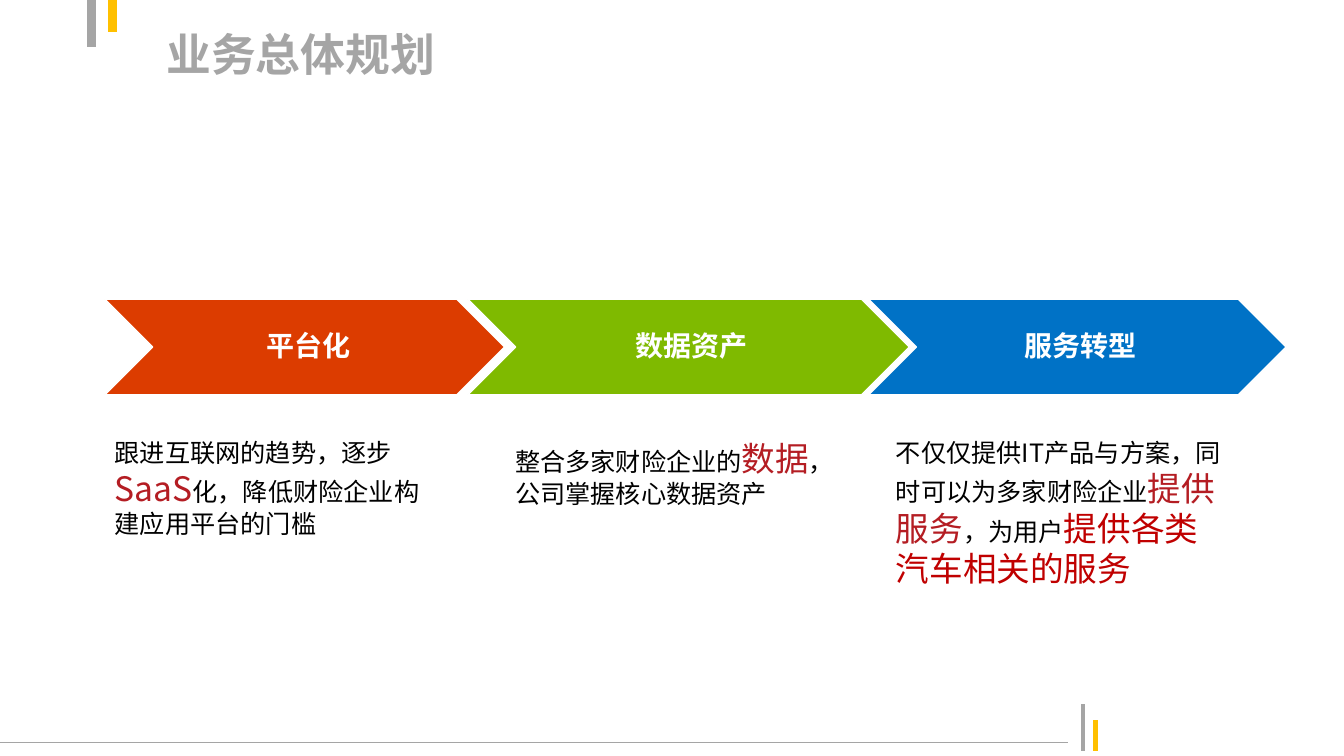
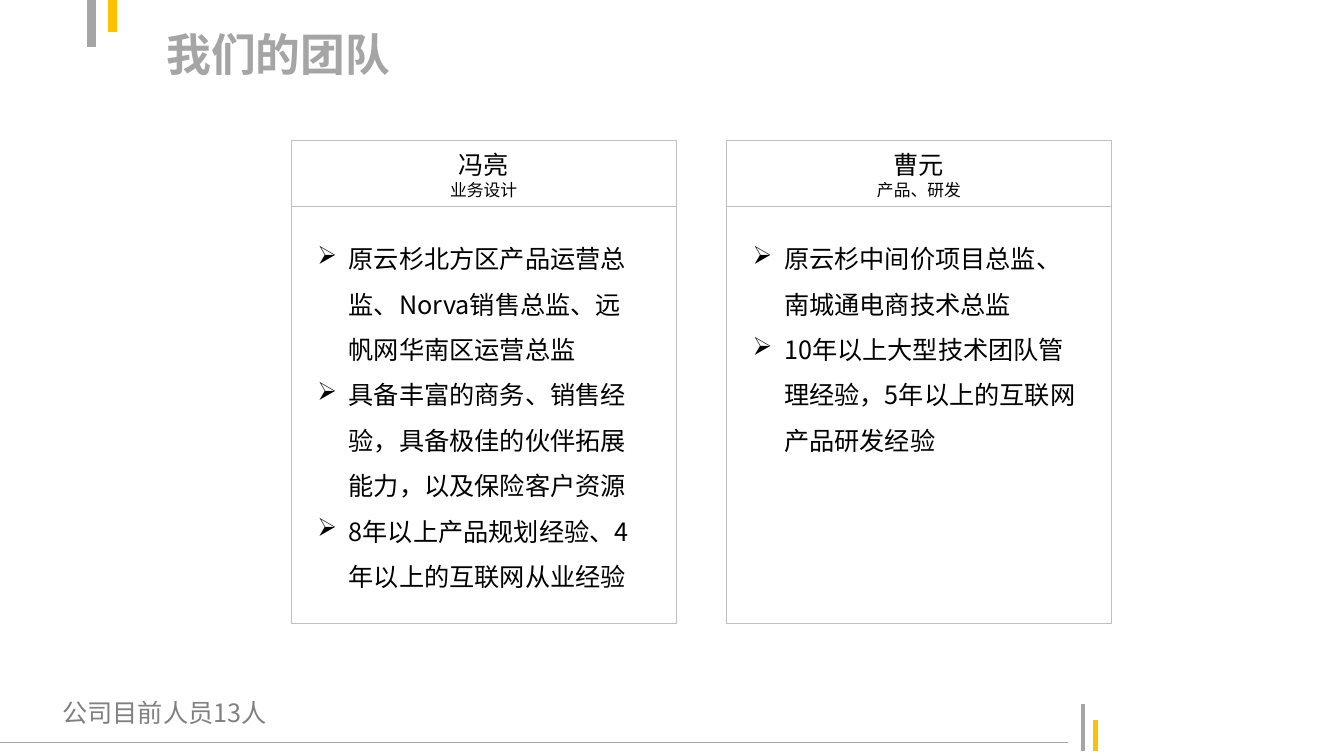
import pptx
import pptx.dml.color
import pptx.enum.shapes
import pptx.enum.text
import pptx.oxml
import pptx.oxml.ns
import pptx.util

Cm = pptx.util.Cm
Pt = pptx.util.Pt
RGBColor = pptx.dml.color.RGBColor
MSO_SHAPE = pptx.enum.shapes.MSO_SHAPE
MIDDLE = pptx.enum.text.MSO_ANCHOR.MIDDLE
CENTER = pptx.enum.text.PP_ALIGN.CENTER
qn = pptx.oxml.ns.qn

FONT = "Noto Sans CJK SC"
GRAY = RGBColor(0xA5, 0xA5, 0xA5)
YELLOW = RGBColor(0xFF, 0xC0, 0x00)
BORDER = RGBColor(0xBF, 0xBF, 0xBF)
NOTE_GRAY = RGBColor(0x80, 0x80, 0x80)
BLACK = RGBColor(0x00, 0x00, 0x00)
WHITE = RGBColor(0xFF, 0xFF, 0xFF)
ORANGE = RGBColor(0xDC, 0x3C, 0x00)
GREEN = RGBColor(0x7F, 0xBA, 0x00)
BLUE = RGBColor(0x00, 0x72, 0xC6)
CRIMSON = RGBColor(0xB4, 0x1D, 0x23)
RED = RGBColor(0xC0, 0x00, 0x00)

# Run formats: colour and font attributes
TITLE = (GRAY, {"size": Pt(32), "bold": True})
STAGE = (WHITE, {"size": Pt(20), "bold": True})
BODY = (BLACK, {"size": Pt(18)})
ROLE = (BLACK, {"size": Pt(12)})
NOTE = (NOTE_GRAY, {"size": Pt(18)})
KEY = (CRIMSON, {"size": Pt(24)})
KEY_RED = (RED, {"size": Pt(24)})

# Accent lines on every slide: x1, y1, x2, y2 in cm, colour, points
FRAME_LINES = [
    (0, 18.72, 26.92, 18.72, GRAY, 0.75),
    (27.29, 18.92, 27.29, 17.73, GRAY, 3),
    (27.61, 18.92, 27.61, 18.14, YELLOW, 3),
    (2.31, 0, 2.31, 1.19, GRAY, 6),
    (2.84, 0, 2.84, 0.81, YELLOW, 6),
]

CHEVRON_TOP, CHEVRON_H = 7.54, 2.41
DETAIL_TOP, DETAIL_W, DETAIL_H = 10.9, 8.69, 4.11
CARD_TOP, CARD_W, CARD_H, CARD_HEAD_H = 3.53, 9.7, 12.19, 1.68
NAME_W, BULLET_INDENT = 7.11, 0.79

# Stages: name, colour, chevron left, chevron width, detail left, detail runs
STAGES = [
    ("平台化", ORANGE, 2.64, 10.08, 2.64, [
        ("跟进互联网的趋势，逐步", BODY), ("SaaS", KEY),
        ("化，降低财险企业构建应用平台的门槛", BODY)]),
    ("数据资产", GREEN, 11.79, 11.13, 12.73, [
        ("整合多家财险企业的", BODY), ("数据", KEY),
        ("，公司掌握核心数据资产", BODY)]),
    ("服务转型", BLUE, 21.89, 10.52, 22.33, [
        ("不仅仅提供IT产品与方案，同时可以为多家财险企业", BODY),
        ("提供服务", KEY), ("，为用户", BODY),
        ("提供各类汽车相关的服务", KEY_RED)]),
]

# Team: card left, name, role, experience
TEAM = [
    (7.34, "冯亮", "业务设计", [
        "原云杉北方区产品运营总监、Norva销售总监、远帆网华南区运营总监",
        "具备丰富的商务、销售经验，具备极佳的伙伴拓展能力，以及保险客户资源",
        "8年以上产品规划经验、4年以上的互联网从业经验"]),
    (18.31, "曹元", "产品、研发", [
        "原云杉中间价项目总监、南城通电商技术总监",
        "10年以上大型技术团队管理经验，5年以上的互联网产品研发经验"]),
]


def add_line(s, x1, y1, x2, y2, color, width):
    line = s.shapes.add_connector(
        pptx.enum.shapes.MSO_CONNECTOR.STRAIGHT, Cm(x1), Cm(y1), Cm(x2), Cm(y2))
    line.line.color.rgb = color
    line.line.width = Pt(width)
    pptx.oxml.ns  # namespace helpers are loaded with the module
    line._element.spPr.append(pptx.oxml.xmlchemy.OxmlElement("a:effectLst"))


def add_preset(s, kind, x, y, w, h, fill, line, width):
    sp = s.shapes.add_shape(kind, Cm(x), Cm(y), Cm(w), Cm(h))
    sp.shadow.inherit = False
    if fill is None:
        sp.fill.background()
    else:
        sp.fill.solid()
        sp.fill.fore_color.rgb = fill
    sp.line.color.rgb = line
    sp.line.width = Pt(width)
    return sp


def add_bullet(p):
    pPr = p._p.get_or_add_pPr()
    pPr.set("marL", str(Cm(BULLET_INDENT)))
    pPr.set("indent", str(-Cm(BULLET_INDENT)))
    bullet = pptx.oxml.xmlchemy.OxmlElement("a:buChar")
    bullet.set("char", "➢")
    pPr.append(bullet)


def write(tf, paragraphs, bullets=False, **layout):
    """Fill a text frame; each paragraph is a list of (text, format) runs."""
    tf.word_wrap = True
    for i, runs in enumerate(paragraphs):
        p = tf.add_paragraph() if i else tf.paragraphs[0]
        if bullets:
            add_bullet(p)
        for name, value in layout.items():
            setattr(p, name, value)
        for text, (color, attrs) in runs:
            r = p.add_run()
            r.text = text
            r.font.color.rgb = color
            for name, value in {"name": FONT, **attrs}.items():
                setattr(r.font, name, value)
            ea = pptx.oxml.xmlchemy.OxmlElement("a:ea")
            ea.set("typeface", FONT)
            r.font._element.find(qn("a:latin")).addnext(ea)


def add_text(s, x, y, w, h, paragraphs, **layout):
    tf = s.shapes.add_textbox(Cm(x), Cm(y), Cm(w), Cm(h)).text_frame
    write(tf, paragraphs, **layout)
    return tf


def add_slide(prs, title):
    s = prs.slides.add_slide(prs.slide_layouts[6])
    for line in FRAME_LINES:
        add_line(s, *line)
    tf = add_text(s, 3.94, 0.33, 27.41, 2.03, [[(title, TITLE)]])
    tf.vertical_anchor = MIDDLE
    return s


def add_stage(s, name, color, x, w, detail_x, detail):
    sp = add_preset(s, MSO_SHAPE.CHEVRON, x, CHEVRON_TOP, w, CHEVRON_H,
                    color, WHITE, 1)
    tf = sp.text_frame
    margins = {"margin_left": Cm(0.25), "margin_right": Cm(0.08),
               "margin_top": Cm(0.08), "margin_bottom": Cm(0.08)}
    for side, value in margins.items():
        setattr(tf, side, value)
    tf.vertical_anchor = MIDDLE
    write(tf, [[(name, STAGE)]], alignment=CENTER, line_spacing=0.9)
    add_text(s, detail_x, DETAIL_TOP, DETAIL_W, DETAIL_H, [detail])


def add_card(s, x, name, role, experience):
    add_preset(s, MSO_SHAPE.RECTANGLE, x, CARD_TOP, CARD_W, CARD_H,
               None, BORDER, 0.75)
    head_bottom = CARD_TOP + CARD_HEAD_H
    add_line(s, x, head_bottom, x + CARD_W, head_bottom, BORDER, 0.75)
    add_text(s, x + (CARD_W - NAME_W) / 2, CARD_TOP + 0.1, NAME_W, 1.55,
             [[(name, BODY)], [(role, ROLE)]], alignment=CENTER)
    tf = add_text(s, x + 0.41, head_bottom + 0.45, 8.76, 9.9,
                  [[(item, BODY)] for item in experience],
                  bullets=True, line_spacing=1.5)
    tf.margin_top, tf.margin_right = Cm(0.1), Cm(0.3)


def main():
    prs = pptx.Presentation()
    prs.slide_width, prs.slide_height = Cm(33.87), Cm(19.05)

    s = add_slide(prs, "业务总体规划")
    for stage in STAGES:
        add_stage(s, *stage)

    s = add_slide(prs, "我们的团队")
    for member in TEAM:
        add_card(s, *member)
    add_text(s, 1.32, 17.07, 27.99, 1.27, [[("公司目前人员13人", NOTE)]],
             line_spacing=1.5)

    prs.save("out.pptx")


if __name__ == "__main__":
    main()
